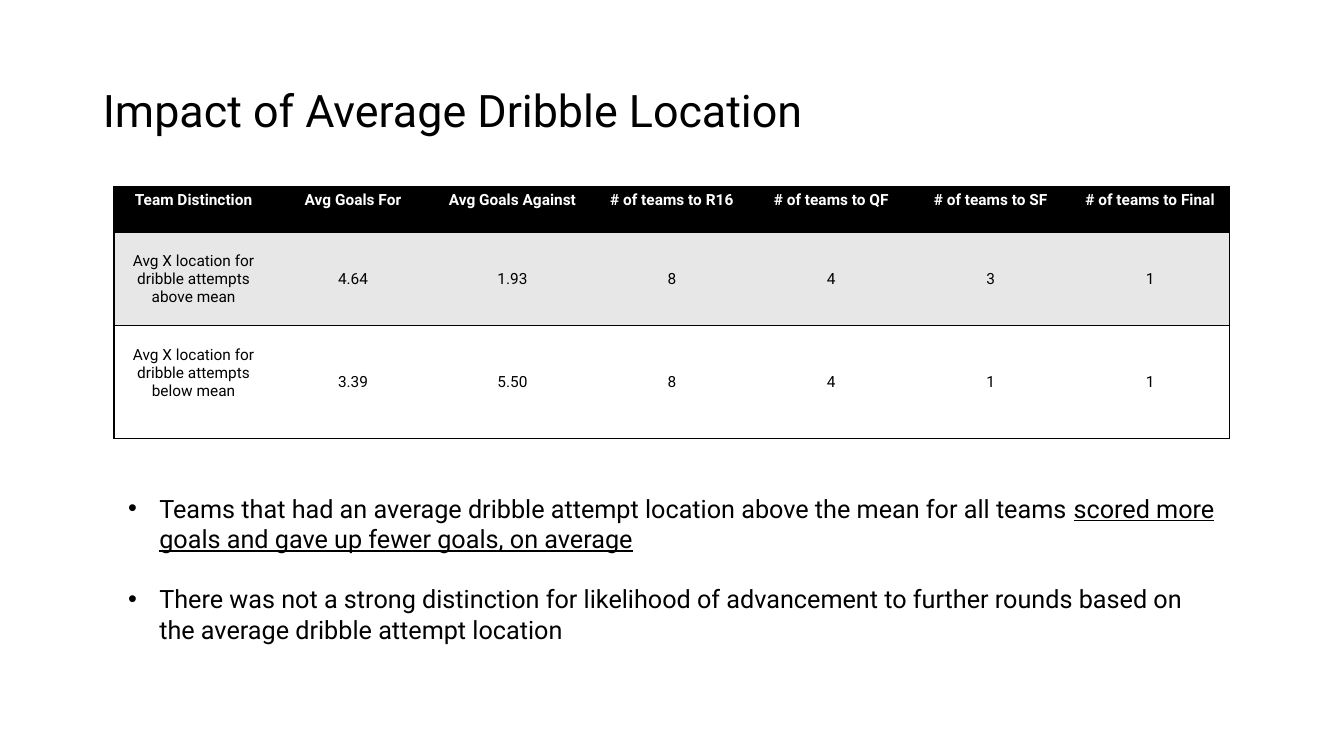
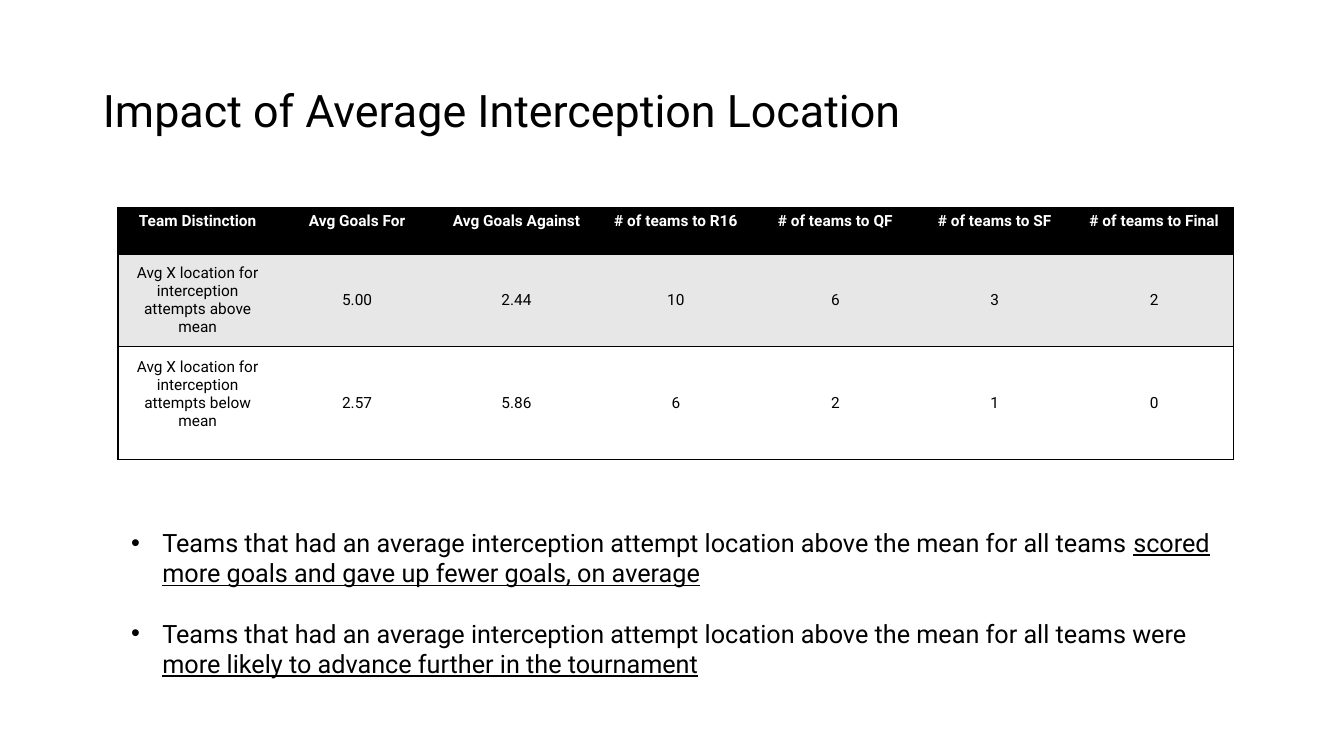
"""Build two slides on how average play location relates to team results."""
from dataclasses import dataclass

from lxml.etree import SubElement
from pptx import Presentation
from pptx.dml.color import RGBColor
from pptx.enum.text import MSO_ANCHOR as Anchor, MSO_AUTO_SIZE as AutoSize, PP_ALIGN as Align
from pptx.oxml import parse_xml
from pptx.oxml.ns import nsdecls, qn
from pptx.util import Inches, Pt


@dataclass(frozen=True)
class Theme:
    font: str = "Roboto"
    ink: RGBColor = RGBColor(0x00, 0x00, 0x00)
    paper: RGBColor = RGBColor(0xFF, 0xFF, 0xFF)
    band: RGBColor = RGBColor(0xE7, 0xE7, 0xE7)
    title_size: int = 32
    body_size: int = 18
    table_size: int = 11
    border_width: int = 1


THEME = Theme()
NO_TABLE_STYLE = "{2D5ABB26-0587-4C30-8999-92F81FD0307C}"
TABLE_WIDTH = 11.07
ROW_HEIGHTS = [0.46, 0.92, 1.12]
ROW_FILLS = [THEME.ink, THEME.band, THEME.paper]
HEADERS = ["Team Distinction", "Avg Goals For", "Avg Goals Against", "# of teams to R16",
           "# of teams to QF", "# of teams to SF", "# of teams to Final"]

SLIDES = [
    {
        "title": "Impact of Average Dribble Location",
        "table_at": (1.13, 1.85),
        "rows": [
            ["Avg X location for dribble attempts above mean", "4.64", "1.93", "8", "4", "3", "1"],
            ["Avg X location for dribble attempts below mean", "3.39", "5.50", "8", "4", "1", "1"],
        ],
        "findings_at": (1.17, 4.84),
        "findings": [
            ("Teams that had an average dribble attempt location above the mean for all teams ",
             "scored more goals and gave up fewer goals, on average"),
            ("There was not a strong distinction for likelihood of advancement to further rounds "
             "based on the average dribble attempt location", ""),
        ],
    },
    {
        "title": "Impact of Average Interception Location",
        "table_at": (1.17, 2.06),
        "rows": [
            ["Avg X location for interception attempts above mean", "5.00", "2.44", "10", "6", "3", "2"],
            ["Avg X location for interception attempts below mean", "2.57", "5.86", "6", "2", "1", "0"],
        ],
        "findings_at": (1.2, 5.18),
        "findings": [
            ("Teams that had an average interception attempt location above the mean for all teams ",
             "scored more goals and gave up fewer goals, on average"),
            ("Teams that had an average interception attempt location above the mean for all teams were ",
             "more likely to advance further in the tournament"),
        ],
    },
]


def style_runs(paragraph, size, color=THEME.ink, bold=False):
    for run in paragraph.runs:
        run.font.name = THEME.font
        run.font.size = Pt(size)
        run.font.color.rgb = color
        run.font.bold = bold


def add_borders(cell, sides):
    cell_properties = cell._tc.get_or_add_tcPr()
    for position, side in enumerate(sides):
        cell_properties.insert(position, parse_xml(
            f'<a:ln{side} {nsdecls("a")} w="{Pt(THEME.border_width)}"><a:solidFill>'
            f'<a:srgbClr val="{THEME.ink}"/></a:solidFill></a:ln{side}>'))


prs = Presentation()
prs.slide_width, prs.slide_height = Inches(13.33), Inches(7.5)
layout = prs.slide_layouts[1]
layout_title = layout.placeholders[0]
layout_title.left, layout_title.top = Inches(0.92), Inches(0.4)
layout_title.width, layout_title.height = Inches(11.5), Inches(1.45)

for content in SLIDES:
    slide = prs.slides.add_slide(layout)

    title_frame = slide.shapes.title.text_frame
    title_frame.text = content["title"]
    title_frame.auto_size = AutoSize.NONE
    title_frame.vertical_anchor = Anchor.MIDDLE
    heading = title_frame.paragraphs[0]
    heading.alignment = Align.LEFT
    heading.line_spacing = 0.9
    style_runs(heading, THEME.title_size)

    left, top = content["table_at"]
    results = slide.shapes.add_table(
        len(ROW_HEIGHTS), len(HEADERS), Inches(left), Inches(top),
        Inches(TABLE_WIDTH), Inches(sum(ROW_HEIGHTS))).table
    results._tbl.tblPr.find(qn("a:tableStyleId")).text = NO_TABLE_STYLE
    for column in results.columns:
        column.width = Inches(TABLE_WIDTH / len(HEADERS))

    last_column = len(HEADERS) - 1
    for r, values in enumerate([HEADERS] + content["rows"]):
        results.rows[r].height = Inches(ROW_HEIGHTS[r])
        is_header = r == 0
        for c, value in enumerate(values):
            cell = results.cell(r, c)
            cell.text = value
            cell.vertical_anchor = Anchor.TOP if is_header else Anchor.MIDDLE
            cell.fill.solid()
            cell.fill.fore_color.rgb = ROW_FILLS[r]
            cell_line = cell.text_frame.paragraphs[0]
            cell_line.alignment = Align.CENTER
            style_runs(cell_line, THEME.table_size, THEME.paper if is_header else THEME.ink, is_header)
            outer_side = {0: ["L"], last_column: ["R"]}.get(c, [])
            add_borders(cell, outer_side + ["T", "B"])
    results.cell(2, 0).margin_bottom = Inches(0.23)

    findings = slide.placeholders[1]
    left, top = content["findings_at"]
    findings.left, findings.top = Inches(left), Inches(top)
    findings.width, findings.height = Inches(11), Inches(1.62)
    findings_frame = findings.text_frame
    findings_frame.auto_size = AutoSize.NONE
    findings_frame.text = "\n".join(plain for plain, _ in content["findings"])
    for i, (finding, (_, underlined)) in enumerate(zip(findings_frame.paragraphs, content["findings"])):
        if underlined:
            emphasis = finding.add_run()
            emphasis.text = underlined
            emphasis.font.underline = True
        style_runs(finding, THEME.body_size)
        finding.alignment = Align.LEFT
        finding.space_before = Pt(21.6 if i else 0)
        bullet = finding._p.get_or_add_pPr()
        bullet.set("marL", str(Inches(0.31)))
        bullet.set("indent", str(-Inches(0.31)))
        SubElement(bullet, qn("a:buFont")).set("typeface", "Arial")
        SubElement(bullet, qn("a:buChar")).set("char", "•")

prs.save("out.pptx")
